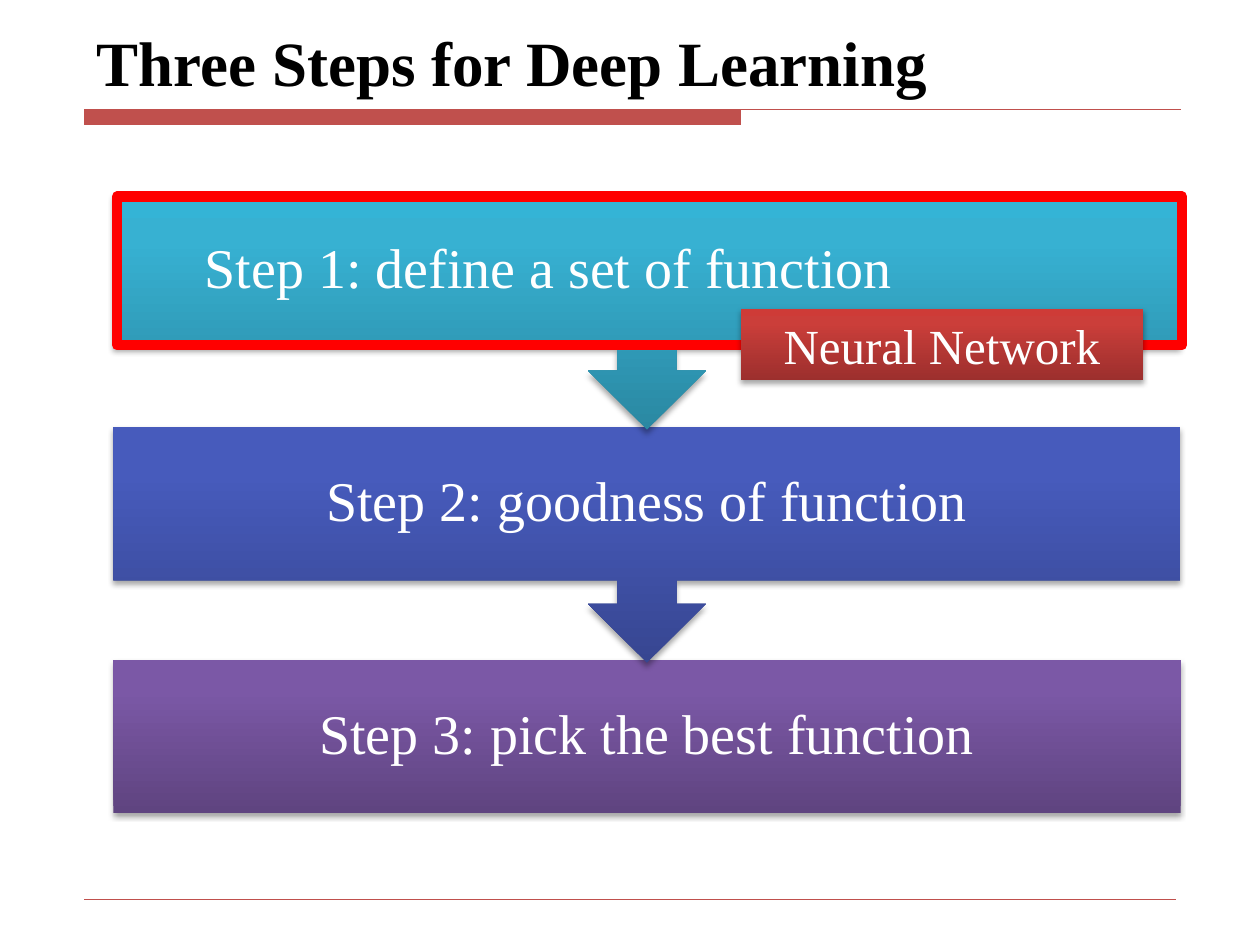
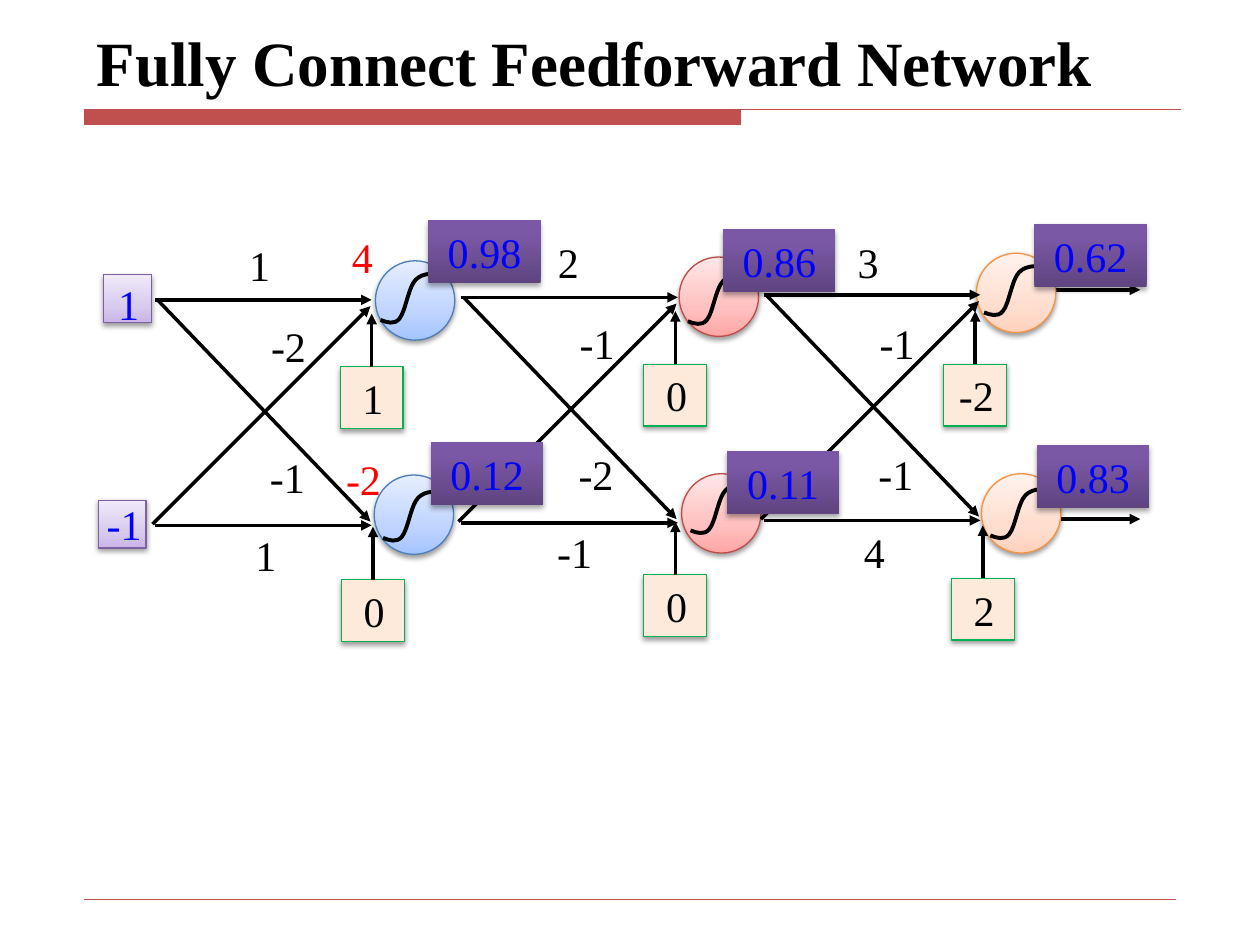
from dataclasses import dataclass
from typing import NamedTuple, Optional

from lxml.etree import SubElement
from pptx import Presentation
from pptx.dml.color import RGBColor
from pptx.enum.shapes import MSO_CONNECTOR, MSO_SHAPE as Preset
from pptx.enum.text import MSO_ANCHOR as Anchor, PP_ALIGN as Align
from pptx.oxml.ns import qn
from pptx.shapes.autoshape import Shape
from pptx.shapes.connector import Connector
from pptx.slide import Slide
from pptx.util import Inches, Pt


class Area(NamedTuple):
    left: float
    top: float
    width: float
    height: float


class Spot(NamedTuple):
    x: float
    y: float


class Stop(NamedTuple):
    percent: int
    color: str


class Shadow(NamedTuple):
    alpha: int
    distance: float


@dataclass(frozen=True)
class Theme:
    font: str = "Times New Roman"
    title_size: int = 36
    step_size: int = 32
    tag_size: int = 28
    label_size: int = 24
    black: str = "000000"
    white: str = "FFFFFF"
    blue: str = "0000FF"
    red: str = "FF0000"
    accent: str = "C0504D"
    bias_fill: str = "FDEADA"
    bias_line: str = "00B050"
    input_line: str = "7D60A0"
    purple: tuple = (Stop(0, "5F4480"), Stop(80, "7B58A6"), Stop(100, "7C57A8"))
    indigo: tuple = (Stop(0, "374691"), Stop(80, "475BBC"), Stop(100, "455ABF"))
    teal: tuple = (Stop(0, "2A88A2"), Stop(80, "37B1D2"), Stop(100, "34B4D6"))
    crimson: tuple = (Stop(0, "9C2F2D"), Stop(80, "CB3E3A"), Stop(100, "CE3B37"))
    pale_blue: tuple = (Stop(0, "A4C4FF"), Stop(35, "BFD4FF"), Stop(100, "E6EEFF"))
    pale_red: tuple = (Stop(0, "FFA6A5"), Stop(35, "FFC0BF"), Stop(100, "FFE7E7"))
    pale_orange: tuple = (Stop(0, "FFD2BD"), Stop(35, "FFDED0"), Stop(100, "FFF2ED"))
    lilac: tuple = (Stop(0, "C9B5E8"), Stop(35, "D8CBEE"), Stop(100, "F0EAF9"))
    deep_shadow: Shadow = Shadow(35, 1.8)
    soft_shadow: Shadow = Shadow(38, 1.6)


THEME = Theme()


@dataclass(frozen=True)
class Step:
    text: str
    colors: tuple
    preset: int
    height: float
    right_inset: float = 0.25


@dataclass(frozen=True)
class Neuron:
    at: Spot
    curve: Spot
    value: str
    value_at: Spot
    bias: str
    bias_at: Spot


@dataclass(frozen=True)
class Layer:
    links_at: Spot
    weights_at: Spot
    weights: tuple
    colors: tuple
    line: str
    neurons: tuple


STEPS = (
    Step("Step 1: define a set of function", THEME.teal, Preset.DOWN_ARROW_CALLOUT, 1.87, 1.81),
    Step("Step 2: goodness of function", THEME.indigo, Preset.DOWN_ARROW_CALLOUT, 1.87),
    Step("Step 3: pick the best function", THEME.purple, Preset.RECTANGLE, 1.21),
)
STEP_LEFT, STEP_TOP, STEP_WIDTH, STEP_PITCH = 0.9, 1.54, 8.47, 1.85

LAYERS = (
    Layer(Spot(1.21, 2.38), Spot(1.21, 2.38), ("1", "-2", "-1", "1"), THEME.pale_blue, "4B7EBC", (
        Neuron(Spot(2.98, 2.07), Spot(3.02, 2.17), "0.98", Spot(3.4, 1.75), "1", Spot(2.7, 2.91)),
        Neuron(Spot(2.97, 3.77), Spot(3.04, 3.9), "0.12", Spot(3.42, 3.51), "0", Spot(2.71, 4.6)),
    )),
    Layer(Spot(3.64, 2.36), Spot(3.66, 2.36), ("2", "-1", "-2", "-1"), THEME.pale_red, "BF4C48", (
        Neuron(Spot(5.39, 2.04), Spot(5.46, 2.18), "0.86", Spot(5.74, 1.82), "0", Spot(5.11, 2.89)),
        Neuron(Spot(5.41, 3.76), Spot(5.48, 3.84), "0.11", Spot(5.77, 3.58), "0", Spot(5.11, 4.56)),
    )),
    Layer(Spot(6.04, 2.34), Spot(6.04, 2.36), ("3", "-1", "-1", "4"), THEME.pale_orange, "F69240", (
        Neuron(Spot(7.75, 2.01), Spot(7.81, 2.11), "0.62", Spot(8.21, 1.78), "-2", Spot(7.49, 2.89)),
        Neuron(Spot(7.79, 3.76), Spot(7.86, 3.88), "0.83", Spot(8.23, 3.53), "2", Spot(7.55, 4.59)),
    )),
)
LINKS = (
    (Spot(0, 1.78), Spot(1.73, 0.05)),
    (Spot(0.04, 0), Spot(1.73, 1.76)),
    (Spot(0.02, 1.79), Spot(1.74, 1.79)),
    (Spot(0.02, 0), Spot(1.74, 0)),
)
WEIGHT_AREAS = (Area(0.66, -0.53, 0.38, 0.5), Area(0.84, 0.11, 0.48, 0.5),
                Area(0.68, 1.15, 0.78, 0.5), Area(0.51, 1.77, 0.78, 0.5))
CURVE_START = Spot(0.51, 0.01)
CURVE_BENDS = (
    (Spot(0.43, 0), Spot(0.34, -0.01), Spot(0.28, 0.05)),
    (Spot(0.22, 0.11), Spot(0.2, 0.3), Spot(0.15, 0.36)),
    (Spot(0.11, 0.41), Spot(0.05, 0.39), Spot(0, 0.37)),
)


def rgb(color: str) -> RGBColor:
    return RGBColor.from_string(color)


def shift(origin: Spot, by: Spot) -> Spot:
    return Spot(origin.x + by.x, origin.y + by.y)


def corner(spot: Spot) -> tuple:
    return Inches(spot.x), Inches(spot.y)


def write(box: Shape, text: str, size: int, color: str, bold: bool = False,
          align: Align = Align.CENTER, anchor: Anchor = Anchor.MIDDLE, inset: float = 0) -> None:
    frame = box.text_frame
    frame.word_wrap = True
    frame.vertical_anchor = anchor
    frame.margin_left = frame.margin_right = Inches(inset)
    frame.margin_top = frame.margin_bottom = Inches(0.05)
    para = frame.paragraphs[0]
    para.text = text
    para.alignment = align
    para.font.name = THEME.font
    para.font.size = Pt(size)
    para.font.bold = bold
    para.font.color.rgb = rgb(color)


def add_label(page: Slide, area: Area, text: str, color: str = THEME.black) -> None:
    box = page.shapes.add_textbox(*map(Inches, area))
    write(box, text, THEME.label_size, color)


def fill_gradient(box: Shape, stops: tuple) -> None:
    box.fill.background()
    properties = box._element.spPr
    blank = properties.find(qn("a:noFill"))
    gradient = SubElement(properties, qn("a:gradFill"), rotWithShape="0")
    stop_list = SubElement(gradient, qn("a:gsLst"))
    for stop in stops:
        mark = SubElement(stop_list, qn("a:gs"), pos=str(stop.percent * 1000))
        SubElement(mark, qn("a:srgbClr"), val=stop.color)
    SubElement(gradient, qn("a:lin"), ang="16200000", scaled="0")
    properties.replace(blank, gradient)


def cast_shadow(box: Shape, shadow: Shadow) -> None:
    effects = box._element.spPr.find(qn("a:effectLst"))
    outer = SubElement(effects, qn("a:outerShdw"), blurRad=str(Pt(3.1)),
                       dist=str(Pt(shadow.distance)), dir="5400000", rotWithShape="0")
    color = SubElement(outer, qn("a:srgbClr"), val=THEME.black)
    SubElement(color, qn("a:alpha"), val=str(shadow.alpha * 1000))


def paint(box: Shape, fill: Optional[str] = None, stops: tuple = (), line: Optional[str] = None,
          weight: float = 0.75, shadow: Optional[Shadow] = None) -> None:
    if stops:
        fill_gradient(box, stops)
    elif fill:
        box.fill.solid()
        box.fill.fore_color.rgb = rgb(fill)
    else:
        box.fill.background()
    if line:
        box.line.color.rgb = rgb(line)
        box.line.width = Pt(weight)
    else:
        box.line.fill.background()
    box.shadow.inherit = False
    if shadow:
        cast_shadow(box, shadow)


def add_box(page: Slide, preset: int, area: Area, **look) -> Shape:
    box = page.shapes.add_shape(preset, *map(Inches, area))
    paint(box, **look)
    return box


def add_line(page: Slide, start: Spot, end: Spot, color: str, weight: float) -> Connector:
    line = page.shapes.add_connector(MSO_CONNECTOR.STRAIGHT, *corner(start), *corner(end))
    line.line.color.rgb = rgb(color)
    line.line.width = Pt(weight)
    SubElement(line._element.spPr, qn("a:effectLst"))
    line._element.remove(line._element.find(qn("p:style")))
    return line


def add_arrow(page: Slide, start: Spot, end: Spot) -> Connector:
    arrow = add_line(page, start, end, THEME.black, 2)
    SubElement(arrow.get_or_add_ln(), qn("a:tailEnd"), type="triangle")
    return arrow


def add_title_band(page: Slide) -> None:
    left, middle, right, top, bottom = map(Inches, (0.67, 5.88, 9.37, 0.87, 0.99))
    builder = page.shapes.build_freeform(left, top)
    builder.add_line_segments([(middle, top), (middle, bottom), (left, bottom)], close=True)
    builder.move_to(left, top)
    builder.add_line_segments([(right, top)], close=False)
    paint(builder.convert_to_shape(), fill=THEME.accent, line=THEME.accent)


def add_page(deck: Presentation, title: str) -> Slide:
    page = deck.slides.add_slide(deck.slide_layouts[6])
    add_title_band(page)
    add_line(page, Spot(0.67, 7.14), Spot(9.33, 7.14), THEME.accent, 0.25)
    box = page.shapes.add_textbox(*map(Inches, Area(0.67, 0.21, 8.74, 0.63)))
    write(box, title, THEME.title_size, THEME.black, True, Align.LEFT, Anchor.BOTTOM, 0.1)
    return page


def add_step(page: Slide, index: int, step: Step) -> None:
    area = Area(STEP_LEFT, STEP_TOP + index * STEP_PITCH, STEP_WIDTH, step.height)
    box = add_box(page, step.preset, area, stops=step.colors, shadow=THEME.deep_shadow)
    write(box, step.text, THEME.step_size, THEME.white, inset=0.25)
    box.text_frame.margin_right = Inches(step.right_inset)
    box.text_frame.paragraphs[0].line_spacing = 0.9


def add_sigmoid(page: Slide, origin: Spot) -> None:
    builder = page.shapes.build_freeform(*corner(shift(origin, CURVE_START)))
    builder.add_line_segments([corner(shift(origin, bend[-1])) for bend in CURVE_BENDS], close=False)
    curve = builder.convert_to_shape()
    paint(curve, line=THEME.black, weight=2.25)
    for segment, bend in zip(list(curve._element.iter(qn("a:lnTo"))), CURVE_BENDS):
        cubic = SubElement(segment.getparent(), qn("a:cubicBezTo"))
        for spot in bend:
            x, y = corner(shift(origin, spot))
            SubElement(cubic, qn("a:pt"), x=str(x - curve.left), y=str(y - curve.top))
        segment.getparent().replace(segment, cubic)


def add_bias(page: Slide, neuron: Neuron) -> None:
    at = neuron.bias_at
    box = add_box(page, Preset.RECTANGLE, Area(*at, 0.5, 0.49), fill=THEME.bias_fill,
                  line=THEME.bias_line, shadow=THEME.soft_shadow)
    write(box, neuron.bias, THEME.label_size, THEME.black)
    box.text_frame.margin_left = Inches(0.02)
    arrow = add_arrow(page, shift(at, Spot(0.25, 0)), shift(at, Spot(0.25, -0.42)))
    arrow.begin_connect(box, 0)


def add_value(page: Slide, neuron: Neuron) -> None:
    box = add_box(page, Preset.RECTANGLE, Area(*neuron.value_at, 0.89, 0.5),
                  stops=THEME.purple, shadow=THEME.deep_shadow)
    write(box, neuron.value, THEME.label_size, THEME.blue)


def build_steps(deck: Presentation) -> None:
    page = add_page(deck, "Three Steps for Deep Learning")
    for index, step in reversed(list(enumerate(STEPS))):
        add_step(page, index, step)
    add_box(page, Preset.RECTANGLE, Area(0.93, 1.56, 8.45, 1.18), line=THEME.red, weight=6)
    tag = add_box(page, Preset.RECTANGLE, Area(5.88, 2.45, 3.19, 0.57),
                  stops=THEME.crimson, shadow=THEME.deep_shadow)
    write(tag, "Neural Network", THEME.tag_size, THEME.white)


def build_network(deck: Presentation) -> None:
    page = add_page(deck, "Fully Connect Feedforward Network")
    neurons = [neuron for layer in LAYERS for neuron in layer.neurons]
    for y in (4.12, 2.3):
        add_arrow(page, Spot(8.33, y), Spot(9.05, y))
    for layer in LAYERS:
        for neuron in layer.neurons:
            add_box(page, Preset.OVAL, Area(*neuron.at, 0.63, 0.63), stops=layer.colors,
                    line=layer.line, shadow=THEME.soft_shadow)
    for layer in LAYERS:
        for start, end in LINKS:
            add_arrow(page, shift(layer.links_at, start), shift(layer.links_at, end))
        for weight, (left, top, width, height) in zip(layer.weights, WEIGHT_AREAS):
            at = shift(layer.weights_at, Spot(left, top))
            add_label(page, Area(*at, width, height), weight)
    for neuron in neurons:
        add_sigmoid(page, neuron.curve)
        add_bias(page, neuron)
    add_label(page, Area(2.64, 1.79, 0.47, 0.5), "4", THEME.red)
    add_label(page, Area(2.51, 3.55, 0.75, 0.5), "-2", THEME.red)
    for neuron in neurons:
        add_value(page, neuron)
    for text, box_at, label in (("1", Spot(0.82, 2.18), Area(0.83, 2.16, 0.38, 0.5)),
                                ("-1", Spot(0.78, 3.97), Area(0.72, 3.91, 0.53, 0.5))):
        add_box(page, Preset.RECTANGLE, Area(*box_at, 0.38, 0.38), stops=THEME.lilac,
                line=THEME.input_line, shadow=THEME.soft_shadow)
        add_label(page, label, text, THEME.blue)


def main() -> None:
    deck = Presentation()
    deck.slide_width, deck.slide_height = Inches(10), Inches(7.5)
    build_steps(deck)
    build_network(deck)
    deck.save("out.pptx")


if __name__ == "__main__":
    main()
